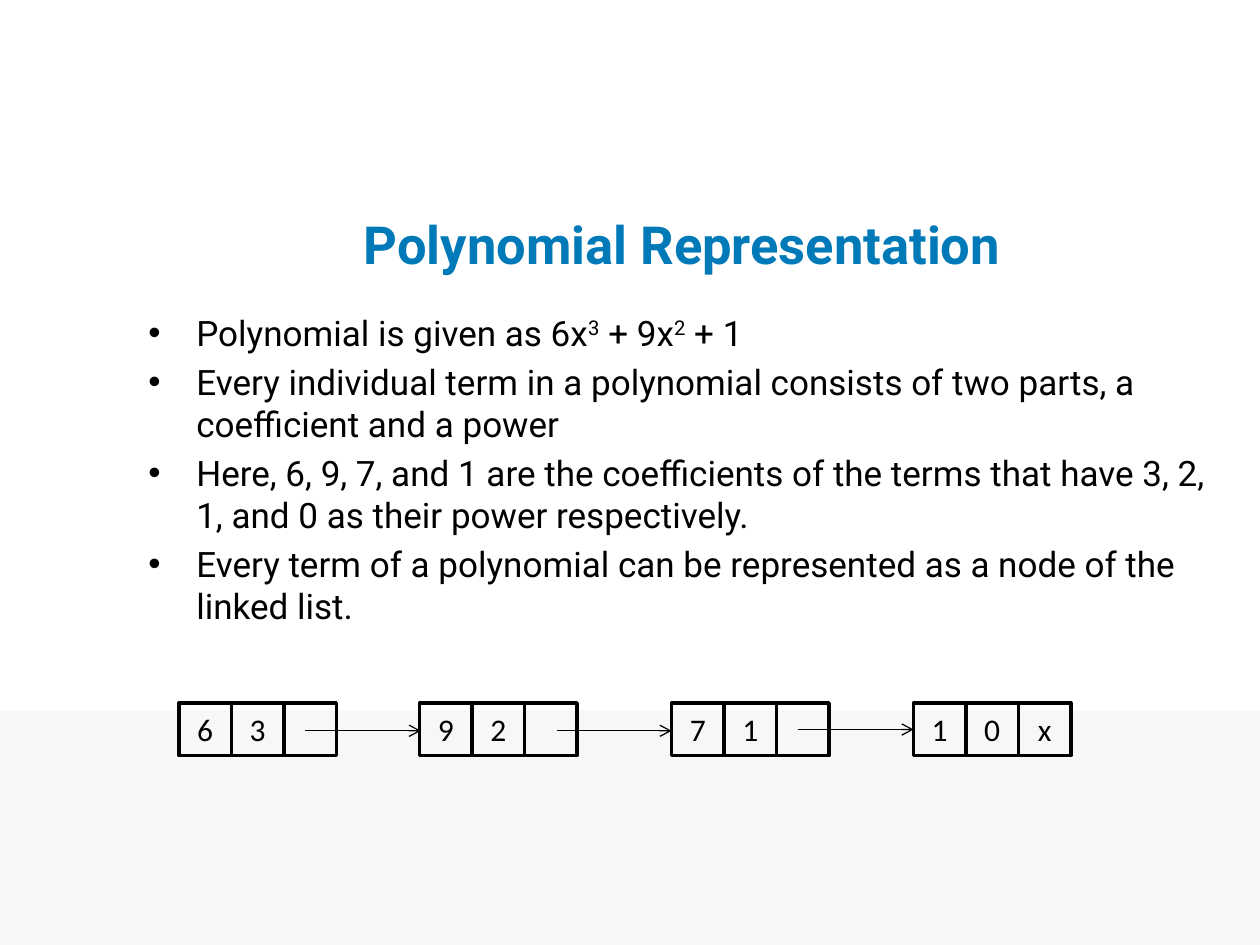
from dataclasses import dataclass

from lxml import etree
from pptx import Presentation
from pptx import util as u
from pptx.dml.color import RGBColor
from pptx.enum import shapes as es, text as et
from pptx.oxml import ns

COLORS = {"band": "F7F7F7", "title": "0079B8", "ink": "000000"}
CELL = 5 / 12
ROW = 5.58


@dataclass
class Node:
    left: float
    cells: tuple[str, str, str]


@dataclass
class Arrow:
    start: float
    end: float
    top: float


NODES = [
    Node(1.42, ("6", "3", "")),
    Node(3.33, ("9", "2", "")),
    Node(5.33, ("7", "1", "")),
    Node(7.25, ("1", "0", "x")),
]
ARROWS = [Arrow(2.42, 3.34, 5.8), Arrow(4.42, 5.33, 5.8), Arrow(6.33, 7.25, 5.79)]
POINTS = [
    ["Polynomial is given as 6x", "3", " + 9x", "2", " + 1"],
    ["Every individual term in a polynomial consists of two parts, "
     "a coefficient and a power"],
    ["Here, 6, 9, 7, and 1 are the coefficients of the terms that have "
     "3, 2, 1, and 0 as their power respectively."],
    ["Every term of a polynomial can be represented as a node of the linked list."],
]


def color(name: str) -> RGBColor:
    return RGBColor.from_string(COLORS[name])


def style(para, face: str, size: float, ink: str = "ink", bold: bool = False) -> None:
    para.font.name = face
    para.font.size = u.Pt(size)
    para.font.bold = bold
    para.font.color.rgb = color(ink)


def add_box(slide, left: float, top: float, width: float, height: float):
    box = slide.shapes.add_textbox(*map(u.Inches, (left, top, width, height)))
    box.text_frame.word_wrap = True
    return box.text_frame


def add_rect(slide, left: float, top: float, width: float, height: float):
    rect = slide.shapes.add_shape(
        es.MSO_SHAPE.RECTANGLE, *map(u.Inches, (left, top, width, height)))
    rect.shadow.inherit = False
    return rect


def add_band(slide) -> None:
    band = add_rect(slide, 0, 5.64, 10, 1.86)
    band.fill.solid()
    band.fill.fore_color.rgb = color("band")
    band.line.fill.background()


def add_title(slide) -> None:
    frame = add_box(slide, 1.08, 1.5, 8.67, 0.87)
    frame.vertical_anchor = et.MSO_ANCHOR.MIDDLE
    para = frame.paragraphs[0]
    para.text = "Polynomial Representation"
    para.alignment = et.PP_ALIGN.CENTER
    style(para, "Roboto", 30, "title", True)


def add_points(slide) -> None:
    frame = add_box(slide, 1.08, 2.42, 8.67, 4.25)
    for i, parts in enumerate(POINTS):
        para = frame.add_paragraph() if i else frame.paragraphs[0]
        para.space_before = u.Pt(4)
        style(para, "Roboto", 20)
        props = para._p.get_or_add_pPr()
        props.set("marL", str(u.Inches(0.38)))
        props.set("indent", str(-u.Inches(0.38)))
        font = etree.Element(ns.qn("a:buFont"), typeface="Arial")
        mark = etree.Element(ns.qn("a:buChar"), char="•")
        spot = list(props).index(props.find(ns.qn("a:defRPr")))
        props[spot:spot] = [font, mark]
        for j, part in enumerate(parts):
            run = para.add_run()
            run.text = part
            if j % 2:
                run._r.get_or_add_rPr().set("baseline", "30000")


def add_node(slide, node: Node) -> None:
    for i, label in enumerate(node.cells):
        cell = add_rect(slide, node.left + i * CELL, ROW, CELL, CELL)
        cell.fill.background()
        cell.line.color.rgb = color("ink")
        cell.line.width = u.Pt(2)
        if label:
            cell.text_frame.vertical_anchor = et.MSO_ANCHOR.MIDDLE
            para = cell.text_frame.paragraphs[0]
            para.text = label
            para.alignment = et.PP_ALIGN.CENTER
            style(para, "Calibri", 18)


def add_arrow(slide, arrow: Arrow) -> None:
    line = slide.shapes.add_connector(
        es.MSO_CONNECTOR.STRAIGHT,
        *map(u.Inches, (arrow.start, arrow.top, arrow.end, arrow.top)))
    line.line.color.rgb = color("ink")
    line.line.width = u.Pt(0.75)
    props = line._element.spPr
    etree.SubElement(props.find(ns.qn("a:ln")), ns.qn("a:tailEnd"), type="arrow")
    etree.SubElement(props, ns.qn("a:effectLst"))


def main() -> None:
    deck = Presentation()
    deck.slide_width, deck.slide_height = u.Inches(10), u.Inches(7.5)
    slide = deck.slides.add_slide(deck.slide_layouts[6])
    add_band(slide)
    add_title(slide)
    add_points(slide)
    for node in NODES:
        add_node(slide, node)
    for arrow in ARROWS:
        add_arrow(slide, arrow)
    deck.save("out.pptx")


main()
